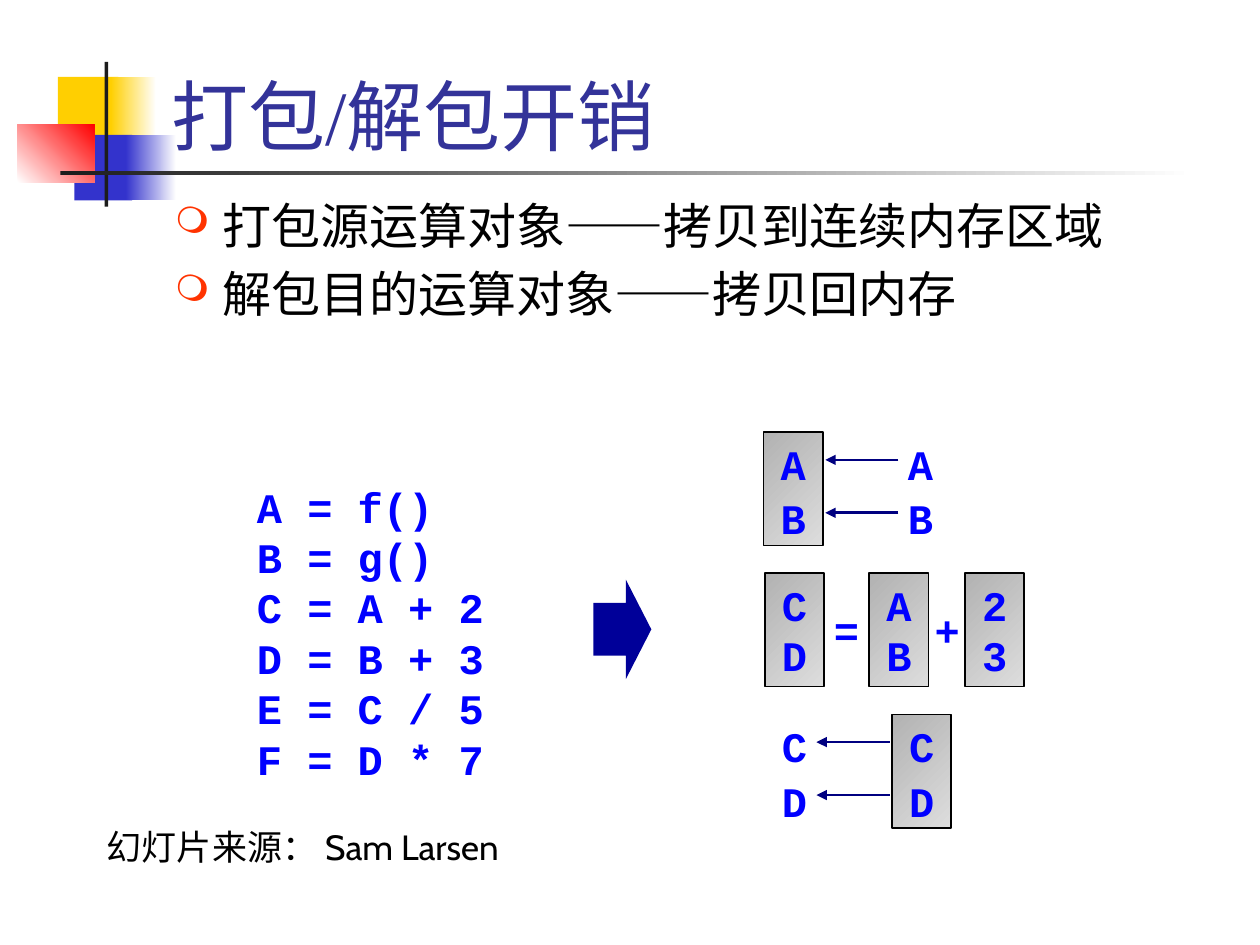
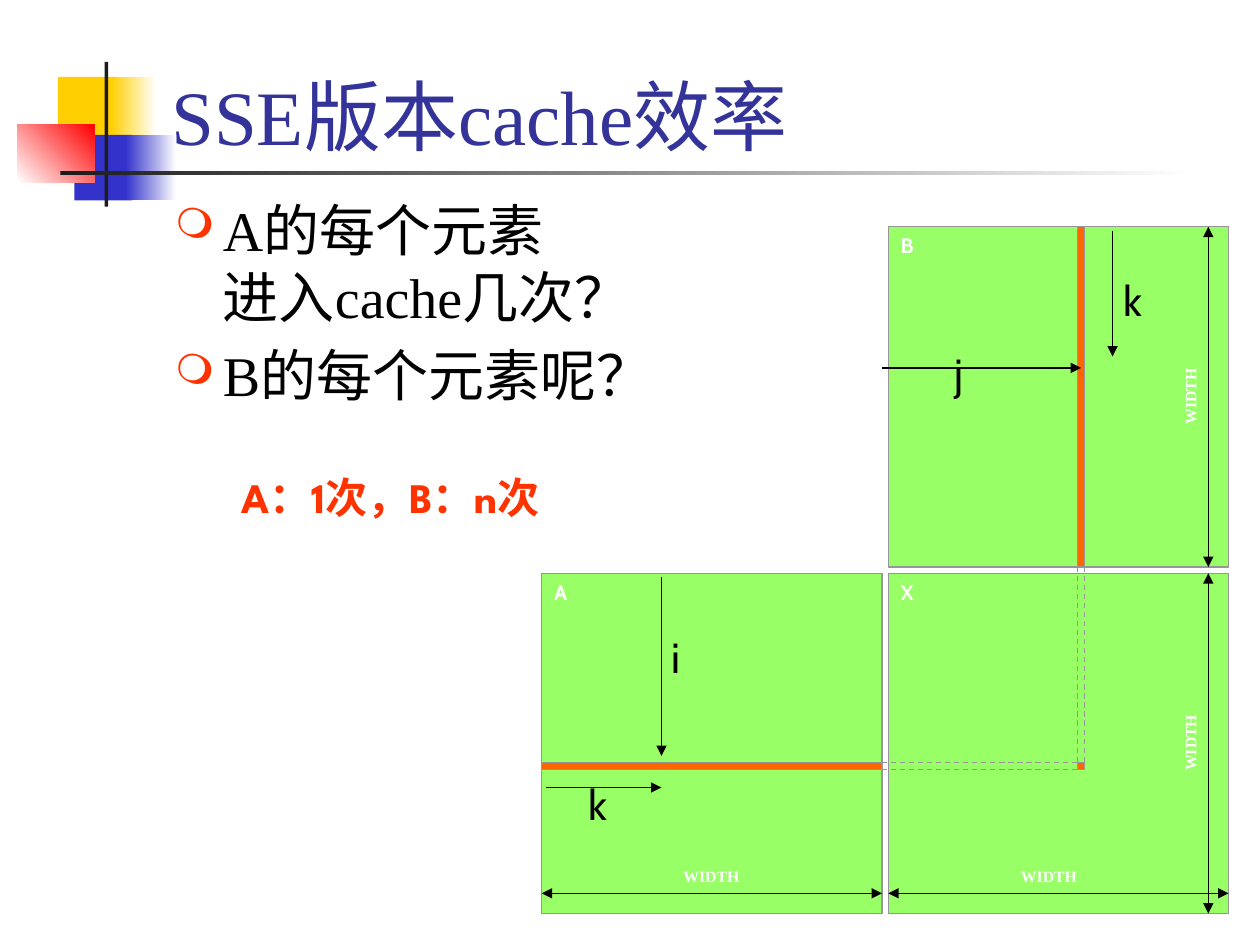
from lxml import etree
from pptx import Presentation
from pptx.dml.color import RGBColor
from pptx.enum.dml import MSO_LINE
from pptx.enum.shapes import MSO_CONNECTOR, MSO_SHAPE
from pptx.enum.text import MSO_ANCHOR, MSO_AUTO_SIZE, PP_ALIGN
from pptx.oxml.ns import qn
from pptx.util import Inches, Pt

RECTANGLE, RIGHT_ARROW = MSO_SHAPE.RECTANGLE, MSO_SHAPE.RIGHT_ARROW
STRAIGHT = MSO_CONNECTOR.STRAIGHT
DASH = MSO_LINE.DASH
TOP, BOTTOM = MSO_ANCHOR.TOP, MSO_ANCHOR.BOTTOM
LEFT, CENTER = PP_ALIGN.LEFT, PP_ALIGN.CENTER
TITLE_ONLY = 5

COLORS = {
    "yellow": "FFCF01", "blue": "3333CC", "red": "FF0000", "white": "FFFFFF",
    "charcoal": "1C1C1C", "title": "333399", "black": "000000",
    "accent": "FF3300", "code": "0000FF", "block_arrow": "000099",
    "arrow": "000080", "register_dark": "B2B2B2", "register_light": "DDDDDD",
    "matrix": "99FF66", "stripe": "FF6600", "outline": "969696",
}
SERIF, SANS, MONO, DISPLAY = "Times New Roman", "Cabin", "Courier New", "League Spartan"

CODE_SIZE = 24
CODE_PITCH = Pt(28.8)
REGISTER_WIDTH, REGISTER_HEIGHT = 0.47, 0.9
MATRIX_SIZE, MATRIX_STEP = 2.7, 2.75
STRIPE_OFFSET, STRIPE_WIDTH = 1.5, 0.06
WIDTH_ARROW_OFFSET = 2.54


def color(name):
    return RGBColor.from_string(COLORS[name])


def box_lengths(box):
    return [Inches(length) for length in box]


def add_run(paragraph, text, font, size, color_name, bold=False):
    run = paragraph.add_run()
    run.text = text
    run.font.name, run.font.size, run.font.bold = font, Pt(size), bold
    run.font.color.rgb = color(color_name)


def add_text(slide, box, text, font, size, color_name="black", bold=False,
             align=LEFT, wrap=False, inset=None, rotation=0):
    shape = slide.shapes.add_textbox(*box_lengths(box))
    shape.rotation = rotation
    frame = shape.text_frame
    frame.word_wrap = wrap
    if inset is not None:
        frame.margin_left = frame.margin_right = Inches(inset)
        frame.margin_top = frame.margin_bottom = Inches(inset)
    frame.paragraphs[0].alignment = align
    add_run(frame.paragraphs[0], text, font, size, color_name, bold)


def add_code_lines(frame, lines, align=LEFT, gap=0):
    for number, line in enumerate(lines):
        paragraph = frame.add_paragraph() if number else frame.paragraphs[0]
        paragraph.alignment = align
        paragraph.line_spacing = CODE_PITCH
        if number:
            paragraph.space_before = Pt(gap)
        add_run(paragraph, line, MONO, CODE_SIZE, "code", True)


def add_block(slide, box, fill, line=None, line_width=0.75, angle=0, kind=RECTANGLE):
    """Add a preset shape; a pair of fill names makes a gradient at a clockwise angle."""
    shape = slide.shapes.add_shape(kind, *box_lengths(box))
    shape.shadow.inherit = False
    if isinstance(fill, tuple):
        shape.fill.gradient()
        shape.fill.gradient_angle = (360 - angle) % 360
        for stop, name in zip(shape.fill.gradient_stops, fill):
            stop.color.rgb = color(name)
    else:
        shape.fill.solid()
        shape.fill.fore_color.rgb = color(fill)
    if line:
        shape.line.color.rgb = color(line)
        shape.line.width = Pt(line_width)
    else:
        shape.line.fill.background()
    return shape


def add_line(slide, start, end, color_name="black", width=0.75, dash=None, ends=()):
    connector = slide.shapes.add_connector(STRAIGHT, *box_lengths(start + end))
    connector.line.color.rgb = color(color_name)
    connector.line.width = Pt(width)
    if dash:
        connector.line.dash_style = dash
    properties = connector.element.spPr
    line = properties.find(qn("a:ln"))
    for arrow_end in ends:
        etree.SubElement(line, qn(f"a:{arrow_end}"), type="triangle")
    etree.SubElement(properties, qn("a:effectLst"))


def add_corner_motif(slide, left, top):
    blocks = [
        (0.32, 0.12, 0.48, 0.52, "yellow", 0),
        (0.74, 0.12, 0.36, 0.52, ("yellow", "white"), 0),
        (0.45, 0.58, 0.46, 0.52, "blue", 0),
        (0.86, 0.58, 0.4, 0.52, ("blue", "white"), 0),
        (0, 0.5, 0.61, 0.46, ("white", "red"), 315),
        (0.69, 0, 0.03, 1.15, "charcoal", 0),
        (0.34, 0.87, 9, 0.03, ("charcoal", "white"), 0),
    ]
    for x, y, width, height, fill, angle in blocks:
        add_block(slide, (left + x, top + y, width, height), fill, angle=angle)


def add_title(slide, text):
    title = slide.shapes.title
    title.left, title.top, title.width, title.height = box_lengths((1.26, 0.08, 8.52, 1.25))
    frame = title.text_frame
    frame.auto_size = MSO_AUTO_SIZE.NONE
    frame.vertical_anchor = BOTTOM
    frame.paragraphs[0].alignment = LEFT
    add_run(frame.paragraphs[0], text, SERIF, 44, "title")


def add_bullet(paragraph):
    properties = paragraph._p.get_or_add_pPr()
    properties.set("marL", str(Inches(0.38)))
    properties.set("indent", str(Inches(-0.38)))
    bullet_color = etree.SubElement(properties, qn("a:buClr"))
    etree.SubElement(bullet_color, qn("a:srgbClr"), val=COLORS["accent"])
    etree.SubElement(properties, qn("a:buSzPct"), val="75000")
    etree.SubElement(properties, qn("a:buChar"), char="❍")


def add_bullets(slide, box, items, size):
    """Add one bullet per item; each item is a list of lines."""
    frame = slide.shapes.add_textbox(*box_lengths(box)).text_frame
    frame.word_wrap = True
    for number, lines in enumerate(items):
        paragraph = frame.add_paragraph() if number else frame.paragraphs[0]
        add_bullet(paragraph)
        if number:
            paragraph.space_before = Pt(size * 0.2)
        for line_number, line in enumerate(lines):
            if line_number:
                paragraph.add_line_break()
            add_run(paragraph, line, SERIF, size, "black")


def add_content_slide(presentation, title, items, size):
    slide = presentation.slides.add_slide(presentation.slide_layouts[TITLE_ONLY])
    add_corner_motif(slide, 0.14, 0.49)
    add_title(slide, title)
    add_bullets(slide, (1.29, 1.5, 8.5, 5.17), items, size)
    return slide


def add_operand_pair(slide, left, top, letters, packed=True, gap=0):
    """Stack two operands, inside a shaded register when they are packed."""
    box = (left, top, REGISTER_WIDTH, REGISTER_HEIGHT)
    if packed:
        shape = add_block(slide, box, ("register_dark", "register_light"),
                          "black", 1, angle=45)
    else:
        shape = slide.shapes.add_textbox(*box_lengths(box))
    frame = shape.text_frame
    frame.word_wrap = False
    frame.vertical_anchor = TOP
    frame.margin_top = Inches(0.05)
    add_code_lines(frame, letters, CENTER, gap)


def add_copy_step(slide, left, top, letters, arrow_left, register_first):
    """Show two operands copied leftwards into or out of a register."""
    for x, packed in ((left, register_first), (left + 1.01, not register_first)):
        add_operand_pair(slide, x, top, letters, packed, gap=2.4)
    for y in (top + 0.22, top + 0.64):
        add_line(slide, (arrow_left + 0.58, y), (arrow_left, y), "arrow", 1.5,
                 ends=["tailEnd"])


def add_packed_sum(slide, left, top):
    for x, letters in ((0, "CD"), (0.83, "AB"), (1.59, "23")):
        add_operand_pair(slide, left + x, top, letters)
    for x, sign in ((0.45, "="), (1.25, "+")):
        add_text(slide, (left + x, top + 0.2, 0.4, 0.5), sign, MONO, CODE_SIZE,
                 "code", True)


def add_source_code(slide, box):
    frame = slide.shapes.add_textbox(*box_lengths(box)).text_frame
    frame.word_wrap = False
    add_code_lines(frame, ["A = f()", "B = g()", "C = A + 2",
                           "D = B + 3", "E = C / 5", "F = D * 7"])


def build_packing_slide(presentation):
    slide = add_content_slide(presentation, "打包/解包开销", [
        ["打包源运算对象——拷贝到连续内存区域"],
        ["解包目的运算对象——拷贝回内存"],
    ], 28)
    add_text(slide, (0.75, 6.5, 3.41, 0.44), "幻灯片来源： Sam Larsen", SANS, 20)
    add_source_code(slide, (1.94, 3.77, 2.02, 2.5))
    block_arrow = add_block(slide, (4.71, 4.6, 0.46, 0.79), "block_arrow", kind=RIGHT_ARROW)
    block_arrow.adjustments[0] = 0.53
    block_arrow.adjustments[1] = 0.44
    add_copy_step(slide, 6.06, 3.43, "AB", 6.55, register_first=True)
    add_packed_sum(slide, 6.07, 4.55)
    add_copy_step(slide, 6.07, 5.67, "CD", 6.48, register_first=False)


def add_matrix(slide, left, top, name):
    box = (left, top, MATRIX_SIZE, MATRIX_SIZE)
    frame = add_block(slide, box, "matrix", "outline").text_frame
    frame.vertical_anchor = TOP
    frame.paragraphs[0].alignment = LEFT
    add_run(frame.paragraphs[0], name, SANS, 12, "white", True)


def add_width_mark(slide, left, top, vertical, label_offset):
    """Measure a matrix with a double arrow along its right or bottom side."""
    far = WIDTH_ARROW_OFFSET
    if vertical:
        start, end = (left + far, top + MATRIX_SIZE), (left + far, top)
        label_left, label_top, rotation = left + 2.17, top + label_offset, 270
    else:
        start, end = (left + MATRIX_SIZE, top + far), (left, top + far)
        label_left, label_top, rotation = left + label_offset, top + 2.33, 0
    add_line(slide, start, end, width=0.5, ends=["headEnd", "tailEnd"])
    add_text(slide, (label_left, label_top, 0.45, 0.15), "WIDTH", SERIF, 9, "white",
             True, CENTER, inset=0, rotation=rotation)


def add_stripes(slide, left, top):
    """Mark a row of A, a column of B and the element of X where they meet."""
    row = top + MATRIX_STEP + STRIPE_OFFSET
    column = left + MATRIX_STEP + STRIPE_OFFSET
    for box in ((column, top, STRIPE_WIDTH, MATRIX_SIZE),
                (left, row, MATRIX_SIZE, STRIPE_WIDTH),
                (column, row, STRIPE_WIDTH, STRIPE_WIDTH)):
        add_block(slide, box, "stripe", "outline")
    for edge in (0, STRIPE_WIDTH):
        add_line(slide, (column + edge, top + MATRIX_SIZE), (column + edge, row),
                 "outline", dash=DASH)
        add_line(slide, (left + MATRIX_SIZE, row + edge), (column, row + edge),
                 "outline", dash=DASH)


def add_index_arrows(slide, left, top):
    arrows = [
        ("i", (0.95, 2.78), (0.95, 4.2), (0.93, 3.16)),
        ("k", (0.03, 4.45), (0.95, 4.45), (0.27, 4.33)),
        ("k", (4.53, 0.03), (4.53, 1.03), (4.52, 0.33)),
        ("j", (2.7, 1.12), (4.28, 1.12), (3.18, 0.91)),
    ]
    for name, start, end, label in arrows:
        (x1, y1), (x2, y2), (x, y) = start, end, label
        add_line(slide, (left + x1, top + y1), (left + x2, top + y2), ends=["tailEnd"])
        add_text(slide, (left + x, top + y, 0.37, 0.5), name, SANS, 24)


def add_matrix_product(slide, left, top):
    right, lower = left + MATRIX_STEP, top + MATRIX_STEP
    for x, y, name in ((left, lower, "A"), (right, top, "B"), (right, lower, "X")):
        add_matrix(slide, x, y, name)
    add_stripes(slide, left, top)
    for x, y, vertical, label_offset in ((right, top, True, 1.27), (right, lower, True, 1.27),
                                         (left, lower, False, 1.12),
                                         (right, lower, False, 1.05)):
        add_width_mark(slide, x, y, vertical, label_offset)
    add_index_arrows(slide, left, top)


def build_cache_slide(presentation):
    slide = add_content_slide(presentation, "SSE版本cache效率", [
        ["A的每个元素", "进入cache几次？"],
        ["B的每个元素呢？"],
    ], 32)
    add_matrix_product(slide, 4.3, 1.8)
    add_text(slide, (1.76, 3.69, 2.68, 0.5), "A：1次，B：n次", DISPLAY, 24, "accent",
             True, CENTER, wrap=True)


def main():
    presentation = Presentation()
    presentation.slide_width, presentation.slide_height = Inches(10), Inches(7.5)
    build_packing_slide(presentation)
    build_cache_slide(presentation)
    presentation.save("out.pptx")


if __name__ == "__main__":
    main()
